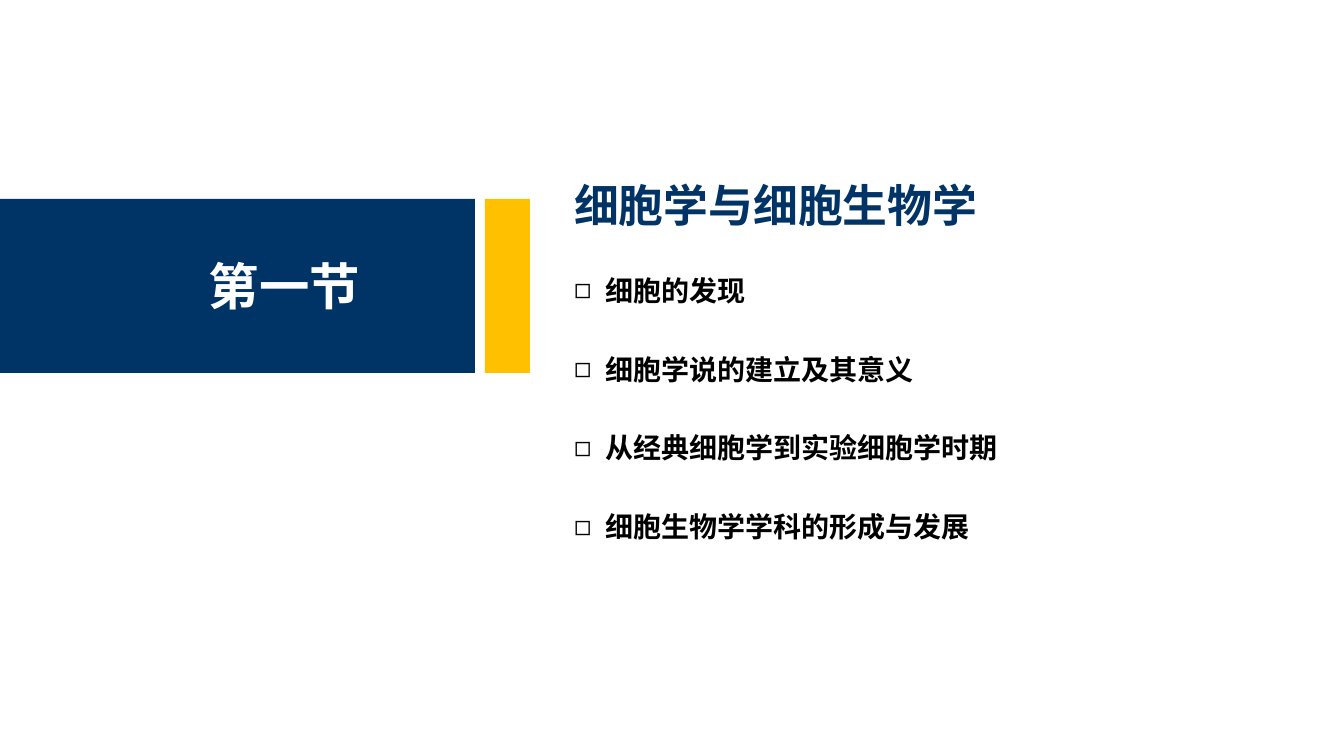
from lxml.etree import SubElement
from pptx import Presentation
from pptx.dml.color import RGBColor
from pptx.enum.shapes import MSO_SHAPE as Preset
from pptx.enum.text import MSO_ANCHOR as Anchor, MSO_AUTO_SIZE as AutoSize, PP_ALIGN as Align
from pptx.oxml.ns import qn
from pptx.util import Pt

PX = 914400 / 100.8
FONT = "Noto Sans CJK SC"
NAVY = RGBColor(0x00, 0x33, 0x66)
GOLD = RGBColor(0xFF, 0xC0, 0x00)
WHITE = RGBColor(0xFF, 0xFF, 0xFF)
BLACK = RGBColor(0x00, 0x00, 0x00)
TOPICS = [
    "细胞的发现",
    "细胞学说的建立及其意义",
    "从经典细胞学到实验细胞学时期",
    "细胞生物学学科的形成与发展",
]


def place(shape, left, top, width, height):
    shape.left, shape.top = round(left * PX), round(top * PX)
    shape.width, shape.height = round(width * PX), round(height * PX)


def format_text(shape, size, color):
    frame = shape.text_frame
    frame.auto_size = AutoSize.NONE
    frame.vertical_anchor = Anchor.TOP
    for paragraph in frame.paragraphs:
        paragraph.alignment = Align.LEFT
        paragraph.line_spacing = 1.0
        paragraph.space_before = Pt(0)
        for run in paragraph.runs:
            run.font.size = Pt(size)
            run.font.bold = True
            run.font.color.rgb = color
            run.font.name = FONT
            SubElement(run._r.get_or_add_rPr(), qn("a:ea"), typeface=FONT)


presentation = Presentation()
presentation.slide_width = round(1344 * PX)
presentation.slide_height = round(756 * PX)
slide = presentation.slides.add_slide(presentation.slide_layouts[1])

# Section band and accent bar
for left, width, color in [(0, 475, NAVY), (485, 45, GOLD)]:
    bar = slide.shapes.add_shape(Preset.RECTANGLE, 0, 0, 0, 0)
    place(bar, left, 199, width, 174)
    bar.shadow.inherit = False
    bar.fill.solid()
    bar.fill.fore_color.rgb = color
    bar.line.fill.background()

# Section number
section = slide.shapes.add_textbox(0, 0, 0, 0)
place(section, 199, 250, 173, 72)
section.text_frame.text = "第一节"
section.text_frame.word_wrap = False
format_text(section, 36, WHITE)

# Section title
title = slide.shapes.title
place(title, 564, 173, 564, 65)
title.text_frame.text = "细胞学与细胞生物学"
format_text(title, 32, NAVY)

# Topic list
body = slide.placeholders[1]
place(body, 564, 268, 564, 310)
body.text_frame.text = "\n".join(TOPICS)
format_text(body, 20, BLACK)
for index, paragraph in enumerate(body.text_frame.paragraphs):
    paragraph.space_before = Pt(32.4 if index else 0)
    properties = paragraph._p.get_or_add_pPr()
    indent = round(31 * PX)
    properties.set("marL", str(indent))
    properties.set("indent", str(-indent))
    SubElement(properties, qn("a:buChar"), char="◻")

presentation.save("out.pptx")
